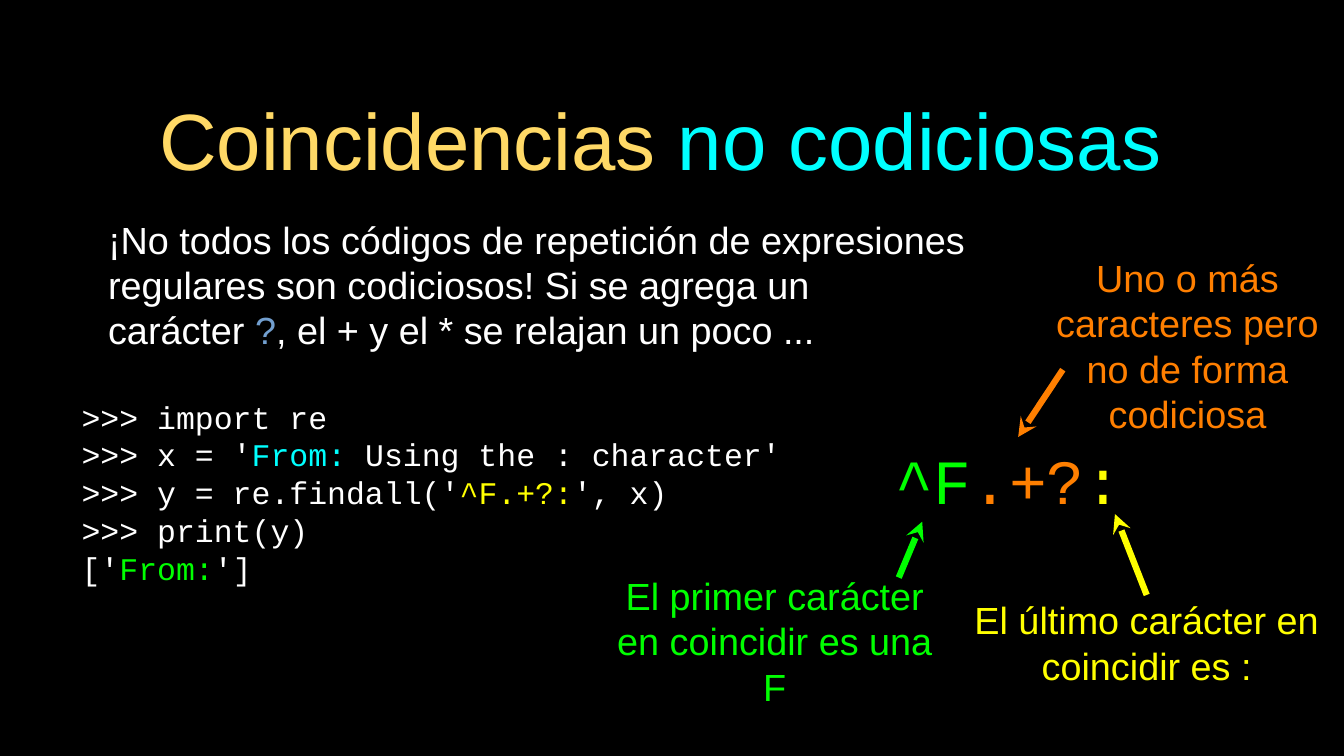
from pptx import Presentation
from pptx.dml.color import RGBColor
from pptx.enum.shapes import MSO_CONNECTOR
from pptx.enum.text import MSO_ANCHOR, PP_ALIGN
from pptx.oxml.ns import qn
from pptx.util import Inches, Pt
from lxml.etree import SubElement

BLACK = RGBColor(0, 0, 0)
WHITE = RGBColor(0xFF, 0xFF, 0xFF)
GOLD = RGBColor(0xFF, 0xD9, 0x66)
CYAN = RGBColor(0, 0xFF, 0xFF)
BLUE = RGBColor(0x72, 0x9F, 0xCF)
GREEN = RGBColor(0, 0xFF, 0)
ORANGE = RGBColor(0xFF, 0x7F, 0)
YELLOW = RGBColor(0xFF, 0xFF, 0)
SANS, MONO = "Arial", "Courier New"


def add_text(slide, box, lines, size, font=SANS, align=PP_ALIGN.LEFT,
             anchor=MSO_ANCHOR.MIDDLE, inset=0):
    """Place lines, each a list of (text, colour) runs, in a box in inches."""
    sp = slide.shapes.add_textbox(*map(Inches, box))
    tf = sp.text_frame
    tf.word_wrap = True
    tf.vertical_anchor = anchor
    tf.margin_left = tf.margin_right = Inches(inset)
    tf.margin_top = tf.margin_bottom = Inches(inset)
    for i, line in enumerate(lines):
        p = tf.add_paragraph() if i else tf.paragraphs[0]
        p.alignment = align
        for text, color in line:
            r = p.add_run()
            r.text = text
            r.font.size, r.font.name = Pt(size), font
            r.font.color.rgb = color
    return sp


def add_arrow(slide, tip, tail, color):
    line = slide.shapes.add_connector(MSO_CONNECTOR.STRAIGHT,
                                      *map(Inches, (*tip, *tail)))
    line.line.color.rgb = color
    line.line.width = Pt(6)
    ln = line.line._get_or_add_ln()
    SubElement(ln, qn("a:round"))
    SubElement(ln, qn("a:headEnd"), type="stealth")
    SubElement(line._element.spPr, qn("a:effectLst"))


def add_title(slide, box):
    add_text(slide, box, [[("Coincidencias ", GOLD), ("no codiciosas ", CYAN)]],
             76, align=PP_ALIGN.CENTER, inset=0.04)


def add_intro(slide, box):
    sp = add_text(slide, box, [[
        ("¡No todos los códigos de repetición de expresiones regulares "
         "son codiciosos! Si se agrega un carácter ", WHITE),
        ("?", BLUE),
        (", el + y el * se relajan un poco ...", WHITE),
    ]], 36, anchor=MSO_ANCHOR.TOP, inset=0.04)
    pPr = sp.text_frame.paragraphs[0]._p.get_or_add_pPr()
    pPr.set("marL", str(Inches(0.41)))
    pPr.set("indent", "0")


def add_code(slide, box):
    add_text(slide, box, [
        [(">>> import re", WHITE)],
        [(">>> x = '", WHITE), ("From: ", CYAN),
         ("Using the : character'", WHITE)],
        [(">>> y = re.findall('", WHITE), ("^F.+?:", YELLOW), ("', x)", WHITE)],
        [(">>> print(y)", WHITE)],
        [("['", WHITE), ("From:", GREEN), ("']", WHITE)],
    ], 30, MONO)


def add_pattern(slide, box):
    """The regular expression, with a note and an arrow for each part."""
    left, top, width, height = box
    add_text(slide, box, [[("^F", GREEN), (".+?", ORANGE), (":", YELLOW)]],
             60, MONO)
    # text, colour, note box, arrow tip, arrow tail; offsets from the pattern
    notes = [
        ("Uno o más caracteres pero no de forma codiciosa", ORANGE,
         (2.09, -2.12, 3.54, 1.82), (1.62, 0), (2.21, -0.89)),
        ("El primer carácter en coincidir es una F", GREEN,
         (-3.88, 2.07, 4.56, 1.25), (0.35, height), (0.04, 1.86)),
        ("El último carácter en coincidir es :", YELLOW,
         (1.04, 2.09, 4.56, 1.25), (2.9, 1.02), (3.32, 2.09)),
    ]
    for text, color, (x, y, w, h), tip, tail in notes:
        add_text(slide, (left + x, top + y, w, h), [[(text, color)]], 36,
                 align=PP_ALIGN.CENTER)
        add_arrow(slide, (left + tip[0], top + tip[1]),
                  (left + tail[0], top + tail[1]), color)


def main():
    prs = Presentation()
    prs.slide_width, prs.slide_height = Inches(17.78), Inches(10)
    slide = prs.slides.add_slide(prs.slide_layouts[6])
    slide.background.fill.solid()
    slide.background.fill.fore_color.rgb = BLACK
    add_title(slide, (1.26, 0.89, 15.24, 1.89))
    add_intro(slide, (0.98, 2.82, 12.21, 1.67))
    add_code(slide, (1.08, 5.03, 10.97, 2.96))
    add_pattern(slide, (11.85, 5.78, 3.24, 1.12))
    prs.save("out.pptx")


if __name__ == "__main__":
    main()
